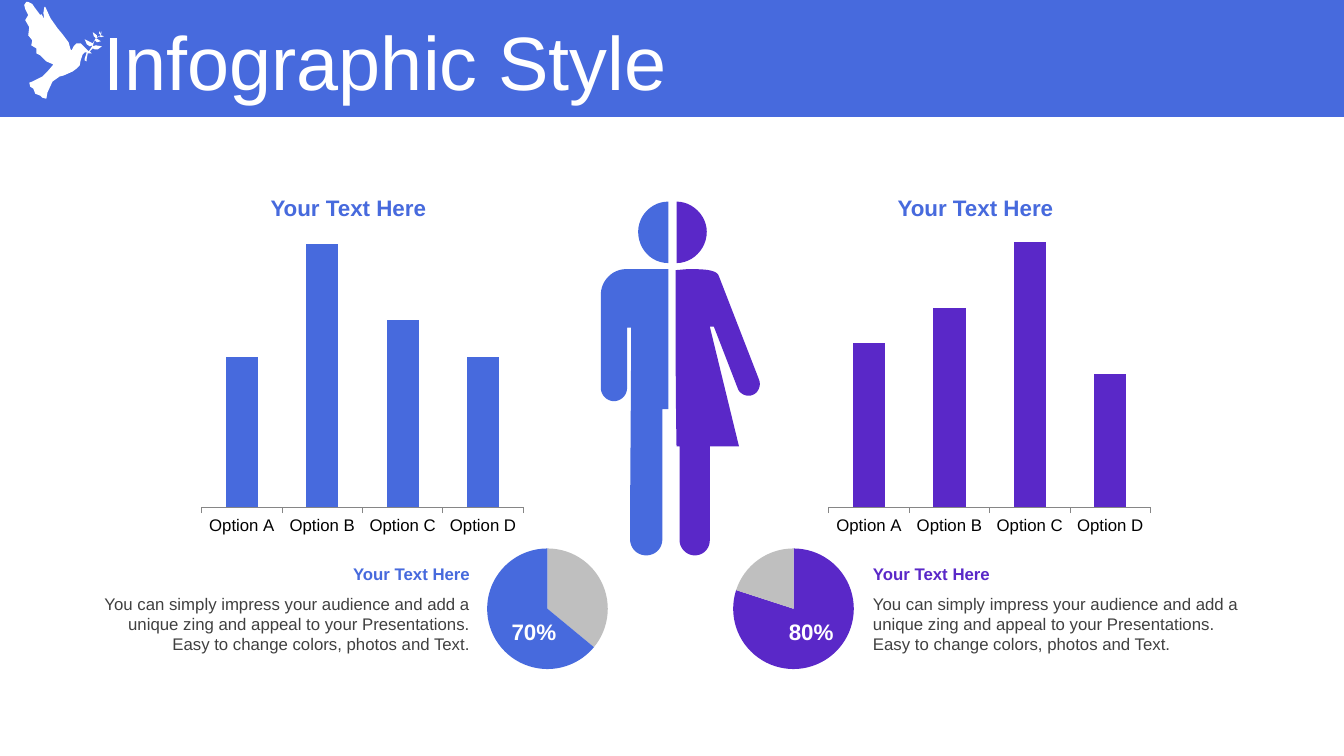
from lxml.etree import SubElement
from pptx import Presentation
from pptx.chart.data import CategoryChartData
from pptx.dml.color import RGBColor
from pptx.enum.chart import XL_CHART_TYPE as ChartType, XL_TICK_MARK as TickMark
from pptx.enum.shapes import MSO_SHAPE
from pptx.enum.text import MSO_ANCHOR as Anchor, PP_ALIGN as Align
from pptx.oxml.ns import qn
from pptx.util import Inches, Pt

COLORS = {"blue": "476ADD", "purple": "5A28C8", "gray": "BFBFBF",
          "axis": "868686", "body": "404040", "black": "000000", "white": "FFFFFF"}
FONT = "Arial"
HEADING = "Your Text Here"
BODY = ("You can simply impress your audience and add a unique zing and appeal "
        "to your Presentations. Easy to change colors, photos and Text.")
OPTIONS = ["Option A", "Option B", "Option C", "Option D"]
COLUMN_LAYOUT = (0.097, 0.034, 0.884, 0.886)
PIE_LAYOUT = (0.09, 0.09, 0.82, 0.82)

DOVE = [[
    (0.35, 0.93), (0.33, 0.88), (0.3, 0.86), (0.29, 0.82), (0.32, 0.81), (0.42, 0.76),
    (0.47, 0.71), (0.53, 0.64), (0.46, 0.61), (0.4, 0.55), (0.36, 0.53), (0.36, 0.48),
    (0.31, 0.45), (0.32, 0.4), (0.28, 0.35), (0.29, 0.27), (0.25, 0.2), (0.28, 0.15),
    (0.25, 0.09), (0.24, 0.05), (0.26, 0.02), (0.28, 0.02), (0.32, 0.04), (0.34, 0.07),
    (0.4, 0.15), (0.41, 0.14), (0.44, 0.19), (0.43, 0.13), (0.44, 0.07), (0.45, 0.07),
    (0.5, 0.18), (0.57, 0.28), (0.62, 0.34), (0.68, 0.42), (0.7, 0.49), (0.71, 0.5),
    (0.73, 0.46), (0.76, 0.43), (0.8, 0.43), (0.85, 0.48), (0.88, 0.51), (0.92, 0.45),
    (0.89, 0.46), (0.86, 0.44), (0.84, 0.39), (0.88, 0.41), (0.92, 0.43), (0.95, 0.38),
    (0.93, 0.36), (0.92, 0.32), (0.96, 0.35), (0.96, 0.37), (1, 0.35), (0.98, 0.33),
    (0.99, 0.31), (1, 0.34), (1.01, 0.31), (1, 0.35), (1.03, 0.36), (1, 0.37),
    (0.99, 0.36), (0.95, 0.38), (0.97, 0.39), (1, 0.41), (0.96, 0.42), (0.94, 0.4),
    (0.93, 0.42), (0.92, 0.46), (0.95, 0.45), (1.01, 0.46), (0.97, 0.49), (0.94, 0.49),
    (0.92, 0.48), (0.89, 0.51), (0.91, 0.53), (0.87, 0.53), (0.86, 0.58), (0.86, 0.61),
    (0.84, 0.6), (0.84, 0.58), (0.86, 0.52), (0.84, 0.52), (0.82, 0.54), (0.81, 0.57),
    (0.8, 0.6), (0.79, 0.65), (0.76, 0.68), (0.72, 0.71), (0.63, 0.75), (0.59, 0.76),
    (0.52, 0.81), (0.47, 0.92), (0.46, 0.98), (0.42, 0.97), (0.4, 0.95)]]

MAN = [
    [(6.21, 2.67), (6.63, 2.67), (6.63, 4.06), (6.57, 4.06), (6.57, 5.35),
     (6.57, 5.44, 6.5, 5.51, 6.41, 5.51), (6.32, 5.51, 6.25, 5.44, 6.25, 5.35),
     (6.25, 4.65, 6.26, 3.95, 6.26, 3.25), (6.22, 3.25), (6.22, 3.85),
     (6.22, 3.92, 6.16, 3.98, 6.09, 3.98), (6.02, 3.98, 5.96, 3.92, 5.96, 3.85),
     (5.96, 2.92), (5.96, 2.79, 6.07, 2.67, 6.21, 2.67)],
    [(6.63, 2), (6.63, 2.61), (6.46, 2.61, 6.33, 2.47, 6.33, 2.3),
     (6.33, 2.14, 6.46, 2, 6.63, 2)]]

WOMAN = [
    [(6.82, 2.67), (6.96, 2.67, 7.11, 2.67, 7.13, 2.74), (7.53, 3.77),
     (7.55, 3.83, 7.52, 3.9, 7.46, 3.92), (7.41, 3.94, 7.34, 3.91, 7.32, 3.86),
     (7.08, 3.24), (7.04, 3.24), (7.33, 4.43), (7.04, 4.43), (7.04, 5.36),
     (7.04, 5.44, 6.98, 5.51, 6.89, 5.51), (6.81, 5.51, 6.74, 5.44, 6.74, 5.36),
     (6.74, 4.43), (6.71, 4.43), (6.7, 3.84, 6.7, 3.26, 6.7, 2.68)],
    [(6.71, 2), (6.87, 2, 7.01, 2.14, 7.01, 2.3), (7.01, 2.47, 6.87, 2.61, 6.71, 2.61)]]


def rgb(name):
    return RGBColor.from_string(COLORS[name])


def paint(shape, color):
    shape.shadow.inherit = False
    shape.fill.solid()
    shape.fill.fore_color.rgb = rgb(color)
    shape.line.fill.background()


def flatten(contour, steps=12):
    points = [contour[0]]
    for step in contour[1:]:
        if len(step) == 2:
            points.append(step)
            continue
        corners = [points[-1], step[:2], step[2:4], step[4:]]
        for index in range(1, steps + 1):
            t = index / steps
            weights = ((1 - t) ** 3, 3 * t * (1 - t) ** 2, 3 * t * t * (1 - t), t ** 3)
            points.append(tuple(sum(w * corner[axis] for w, corner in zip(weights, corners))
                                for axis in (0, 1)))
    return [(Inches(x), Inches(y)) for x, y in points]


def add_outline(slide, contours, color):
    outlines = [flatten(contour) for contour in contours]
    builder = slide.shapes.build_freeform(*outlines[0][0])
    for number, points in enumerate(outlines):
        if number:
            builder.move_to(*points[0])
        builder.add_line_segments(points[1:], close=True)
    paint(builder.convert_to_shape(), color)


def add_text(slide, box, text, size, color, bold=False, align=Align.LEFT, anchor=Anchor.TOP):
    frame = slide.shapes.add_textbox(*map(Inches, box)).text_frame
    frame.word_wrap = True
    frame.vertical_anchor = anchor
    paragraph = frame.paragraphs[0]
    paragraph.text = text
    paragraph.alignment = align
    paragraph.font.name = FONT
    paragraph.font.size = Pt(size)
    paragraph.font.bold = bold
    paragraph.font.color.rgb = rgb(color)
    return paragraph


def add_chart(slide, kind, box, categories, values, layout):
    data = CategoryChartData()
    data.categories = categories
    data.add_series("Series 1", values)
    chart = slide.shapes.add_chart(kind, *map(Inches, box), data).chart
    chart.has_legend = chart.has_title = False
    chart.font.name = FONT
    chart.font.size = Pt(12)
    chart.font.color.rgb = rgb("black")
    plot_area = chart.plots[0]._element.getparent()
    for old in plot_area.findall(qn("c:layout")):
        plot_area.remove(old)
    holder = SubElement(plot_area, qn("c:layout"))
    plot_area.insert(0, holder)
    manual = SubElement(holder, qn("c:manualLayout"))
    settings = [("layoutTarget", "inner"), ("xMode", "edge"), ("yMode", "edge")]
    for tag, value in settings + list(zip("xywh", layout)):
        SubElement(manual, qn("c:" + tag)).set("val", str(value))
    return chart


def add_columns(slide, left, values, color, maximum):
    chart = add_chart(slide, ChartType.COLUMN_STACKED, (left, 1.94, 3.61, 3.37),
                      OPTIONS, values, COLUMN_LAYOUT)
    plot = chart.plots[0]
    plot.gap_width, plot.overlap = 150, 100
    plot.vary_by_categories = False
    fill = plot.series[0].format.fill
    fill.solid()
    fill.fore_color.rgb = rgb(color)
    chart.category_axis.major_tick_mark = TickMark.OUTSIDE
    chart.category_axis.format.line.color.rgb = rgb("axis")
    chart.value_axis.minimum_scale = 0
    chart.value_axis.maximum_scale = maximum
    chart.value_axis.has_major_gridlines = False
    chart.value_axis.visible = False
    add_text(slide, (left + 0.79, 1.88, 2.03, 0.37), HEADING, 16, "blue", True, Align.CENTER)


def add_pie(slide, left, values, colors, label, label_left):
    chart = add_chart(slide, ChartType.PIE, (left, 5.31, 1.46, 1.46),
                      ["1", "2"], values, PIE_LAYOUT)
    for index, color in enumerate(colors):
        style = chart.plots[0].series[0].points[index].format
        style.fill.solid()
        style.fill.fore_color.rgb = rgb(color)
        style.line.fill.background()
    add_text(slide, (label_left, 6.08, 0.79, 0.37), label, 16, "white", True,
             Align.CENTER, Anchor.MIDDLE)


def add_description(slide, left, width, color, align):
    add_text(slide, (left, 5.54, width, 0.3), HEADING, 12, color, True, align)
    add_text(slide, (left, 5.84, width, 0.71), BODY, 12, "body", align=align)


def main():
    presentation = Presentation()
    presentation.slide_width = Inches(13.33)
    presentation.slide_height = Inches(7.5)
    slide = presentation.slides.add_slide(presentation.slide_layouts[6])

    banner = slide.shapes.add_shape(MSO_SHAPE.RECTANGLE, 0, 0, Inches(13.33), Inches(1.16))
    paint(banner, "blue")
    add_outline(slide, DOVE, "white")
    title = add_text(slide, (0.93, 0.26, 11.85, 0.79), "Infographic Style", 54, "white",
                     anchor=Anchor.MIDDLE)
    title.line_spacing = 0.9

    add_columns(slide, 1.65, (57, 100, 71, 57), "blue", 114)
    add_columns(slide, 7.87, (62, 75, 100, 50), "purple", 113)
    add_outline(slide, MAN, "blue")
    add_outline(slide, WOMAN, "purple")
    add_pie(slide, 4.7, (36, 64), ("gray", "blue"), "70%", 4.9)
    add_pie(slide, 7.14, (80, 20), ("purple", "gray"), "80%", 7.65)
    add_description(slide, 0.82, 3.94, "blue", Align.RIGHT)
    add_description(slide, 8.56, 3.91, "purple", Align.LEFT)

    presentation.save("out.pptx")


if __name__ == "__main__":
    main()
